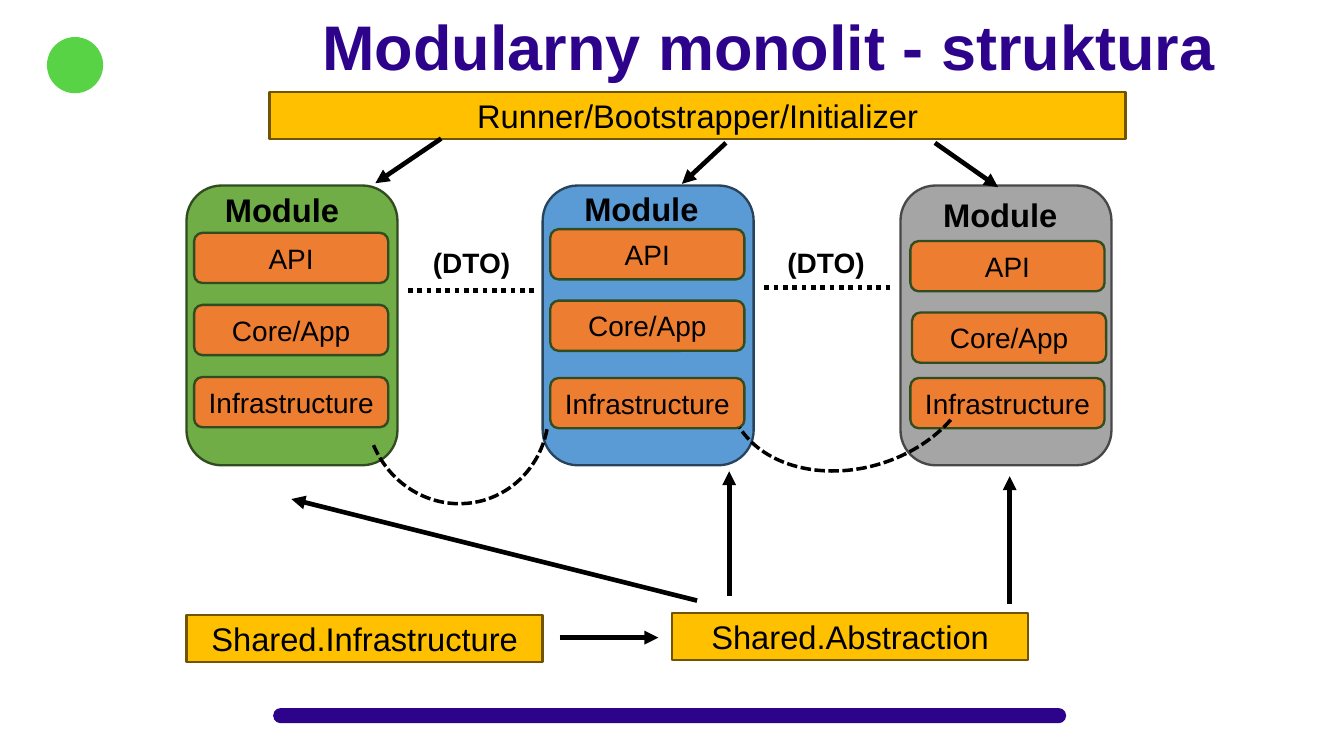
from dataclasses import dataclass

import pptx
import pptx.dml.color
import pptx.enum.dml
import pptx.enum.shapes
import pptx.enum.text
import pptx.oxml
import pptx.oxml.ns
import pptx.util

Cm = pptx.util.Cm
Pt = pptx.util.Pt
Kind = pptx.enum.shapes.MSO_SHAPE
Dash = pptx.enum.dml.MSO_LINE
Align = pptx.enum.text.PP_ALIGN
BLACK = "000000"
PURPLE = "2E038C"
LAYERS = ("API", "Core/App", "Infrastructure")


@dataclass
class Box:
    x: float
    y: float
    w: float
    h: float


@dataclass
class Module:
    x: float
    fill: str
    edge: str
    title: tuple[float, float]
    layers: list[tuple[float, float]]


@dataclass
class Link:
    x1: float
    y1: float
    x2: float
    y2: float
    dotted: bool = False


@dataclass
class Arc:
    box: Box
    start: float
    end: float


MODULES = [
    Module(5.64, "70AD47", "314C1F", (6.55, 5.61),
           [(5.87, 7.04), (5.87, 9.22), (5.87, 11.4)]),
    Module(16.41, "5B9BD5", "28445D", (17.42, 5.59),
           [(16.64, 6.93), (16.64, 9.09), (16.64, 11.43)]),
    Module(27.23, "A5A5A5", "484848", (28.27, 5.77),
           [(27.53, 7.29), (27.58, 9.45), (27.53, 11.43)]),
]
LINKS = [
    Link(12.34, 8.79, 16.18, 8.79, dotted=True),
    Link(23.11, 8.69, 26.92, 8.69, dotted=True),
    Link(16.92, 19.28, 19.91, 19.28),
    Link(22.05, 18.01, 22.05, 14.25),
    Link(30.53, 18.26, 30.53, 14.4),
    Link(21.08, 18.16, 8.81, 15.09),
    Link(13.34, 4.19, 11.35, 5.54),
    Link(28.27, 4.32, 30.18, 5.66),
    Link(21.95, 4.32, 20.62, 5.56),
]
ARCS = [
    Arc(Box(11.07, 9.5, 5.51, 5.74), 125.67, 212.34),
    Arc(Box(21.95, 8.41, 7.65, 5.74), 133.32, 210.58),
]
BARS = [
    ("Runner/Bootstrapper/Initializer", Box(8.15, 2.79, 25.88, 1.42)),
    ("Shared.Infrastructure", Box(5.64, 18.59, 10.77, 1.42)),
    ("Shared.Abstraction", Box(20.32, 18.54, 10.77, 1.42)),
]

deck = pptx.Presentation()
deck.slide_width, deck.slide_height = Cm(40.64), Cm(22.86)
shapes = deck.slides.add_slide(deck.slide_layouts[6]).shapes


def rgb(code: str) -> pptx.dml.color.RGBColor:
    return pptx.dml.color.RGBColor.from_string(code)


def place(box: Box) -> tuple:
    return Cm(box.x), Cm(box.y), Cm(box.w), Cm(box.h)


def write(shape, text: str, size: int, align=Align.CENTER,
          bold: bool = False, color: str = BLACK) -> None:
    shape.text_frame.word_wrap = True
    par = shape.text_frame.paragraphs[0]
    par.text = text
    par.alignment = align
    par.font.name, par.font.size, par.font.bold = "Arial", Pt(size), bold
    par.font.color.rgb = rgb(color)


def panel(kind, box: Box, fill: str, edge: str = "", text: str = "", size: int = 24):
    shape = shapes.add_shape(kind, *place(box))
    shape.shadow.inherit = False
    shape.fill.solid()
    shape.fill.fore_color.rgb = rgb(fill)
    if edge:
        shape.line.color.rgb = rgb(edge)
        shape.line.width = Pt(2)
    else:
        shape.line.fill.background()
    if text:
        shape.text_frame.vertical_anchor = pptx.enum.text.MSO_ANCHOR.MIDDLE
        write(shape, text, size)
    return shape


def label(text: str, box: Box, size: int, align, color: str = BLACK) -> None:
    write(shapes.add_textbox(*place(box)), text, size, align, True, color)


def connect(link: Link) -> None:
    line = shapes.add_connector(
        pptx.enum.shapes.MSO_CONNECTOR.STRAIGHT,
        Cm(link.x1), Cm(link.y1), Cm(link.x2), Cm(link.y2))
    line.line.color.rgb = rgb(BLACK)
    line.line.width = Pt(4)
    if link.dotted:
        line.line.dash_style = Dash.ROUND_DOT
    else:
        tip = pptx.oxml.parse_xml(
            f'<a:tailEnd {pptx.oxml.ns.nsdecls("a")} type="triangle"/>')
        line.line._get_or_add_ln().append(tip)
    props = line._element.spPr
    props.append(pptx.oxml.parse_xml(
        f'<a:effectLst {pptx.oxml.ns.nsdecls("a")}/>'))


def curve(arc: Arc) -> None:
    shape = shapes.add_shape(Kind.ARC, *place(arc.box))
    shape.shadow.inherit = False
    shape.adjustments[0], shape.adjustments[1] = arc.start, arc.end
    shape.rotation = 163.2
    shape.fill.background()
    shape.line.color.rgb = rgb(BLACK)
    shape.line.width = Pt(3)
    shape.line.dash_style = Dash.SQUARE_DOT
    # sysDash is what SQUARE_DOT and sysDot what ROUND_DOT stand for
    shape.line._get_or_add_ln().prstDash.set("val", "sysDash")


def main() -> None:
    footer = panel(Kind.ROUNDED_RECTANGLE, Box(8.26, 21.41, 23.98, 0.46), PURPLE)
    footer.adjustments[0] = 0.5
    panel(Kind.OVAL, Box(1.42, 1.12, 1.7, 1.7), "58D346")
    label("Modularny monolit - struktura", Box(9.5, 0.1, 37.62, 2.57), 54,
          Align.LEFT, PURPLE)
    for mod in MODULES:
        panel(Kind.ROUNDED_RECTANGLE, Box(mod.x, 5.61, 6.38, 8.46), mod.fill, mod.edge)
        label("Module", Box(*mod.title, 5, 1.45), 28, Align.JUSTIFY)
        for name, spot in zip(LAYERS, mod.layers):
            panel(Kind.ROUNDED_RECTANGLE, Box(*spot, 5.87, 1.52),
                  "ED7D31", "314C1F", name)
    for x in (12.34, 23.06):
        label("(DTO)", Box(x, 7.29, 3.84, 1.27), 24, Align.CENTER)
    for arc in ARCS:
        curve(arc)
    for text, box in BARS:
        panel(Kind.RECTANGLE, box, "FFC000", "705400", text, 28)
    for link in LINKS:
        connect(link)
    deck.save("out.pptx")


if __name__ == "__main__":
    main()
